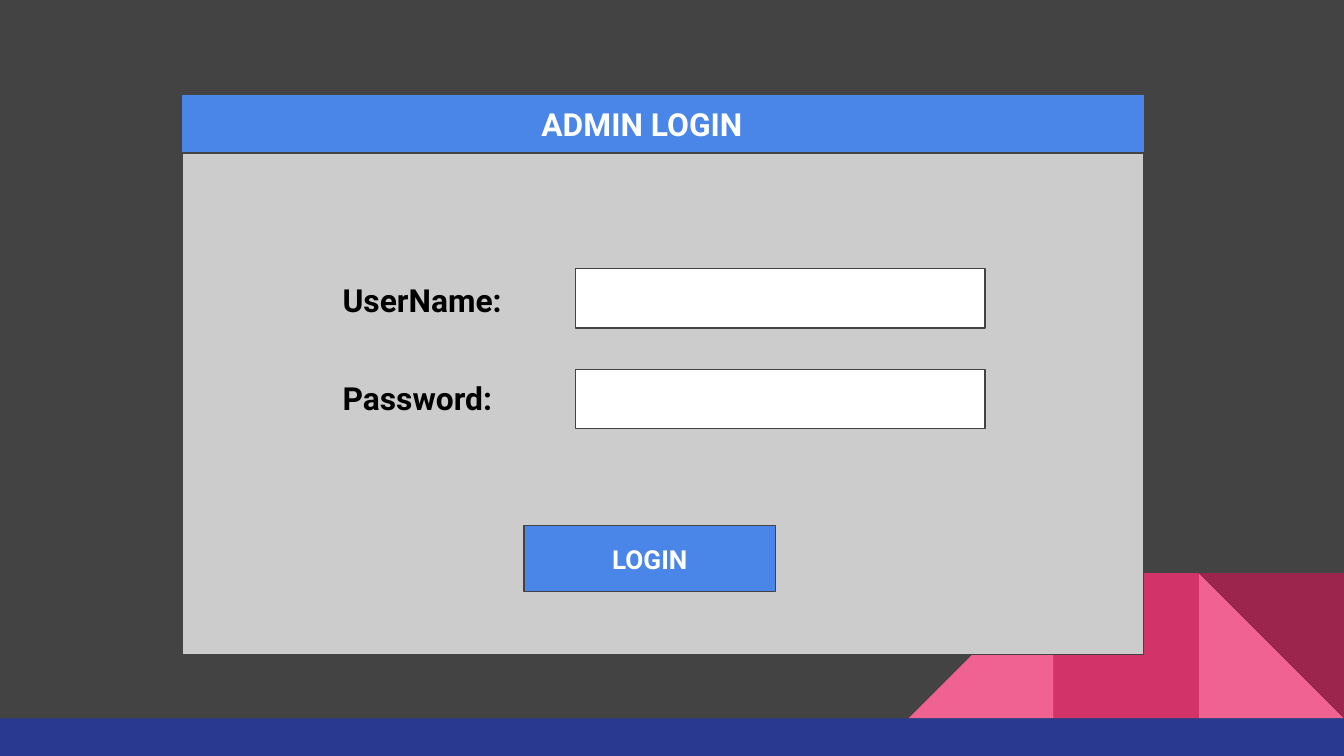
from pptx import Presentation
from pptx import util as u
from pptx.dml.color import RGBColor
from pptx.enum import shapes, text

DARK = RGBColor(0x43, 0x43, 0x43)
NAVY = RGBColor(0x2A, 0x39, 0x90)
PINK = RGBColor(0xF0, 0x62, 0x92)
ROSE = RGBColor(0xD2, 0x33, 0x69)
WINE = RGBColor(0x9C, 0x25, 0x4D)
GREY = RGBColor(0xCC, 0xCC, 0xCC)
BLUE = RGBColor(0x4A, 0x86, 0xE8)
WHITE = RGBColor(0xFF, 0xFF, 0xFF)
BLACK = RGBColor(0, 0, 0)
RECT = shapes.MSO_SHAPE.RECTANGLE
TRIANGLE = shapes.MSO_SHAPE.RIGHT_TRIANGLE
WIDTH = 10
HEIGHT = WIDTH * 9 / 16


def add_block(slide, kind, left, top, width, height, fill, line=None):
    """Add a filled preset shape, outlined only when a line colour is given."""
    sp = slide.shapes.add_shape(kind, *map(u.Inches, (left, top, width, height)))
    sp.shadow.inherit = False
    sp.fill.solid()
    sp.fill.fore_color.rgb = fill
    if line is None:
        sp.line.fill.background()
    else:
        sp.line.color.rgb = line
        sp.line.width = u.Pt(0.75)
    return sp


def add_label(slide, words, left, top, width, height, color,
              size=17, align=text.PP_ALIGN.LEFT):
    """Add a bold one-line text box."""
    sp = slide.shapes.add_textbox(*map(u.Inches, (left, top, width, height)))
    tf = sp.text_frame
    tf.word_wrap = True
    tf.auto_size = text.MSO_AUTO_SIZE.SHAPE_TO_FIT_TEXT
    tf.margin_left = tf.margin_right = u.Inches(0.1)
    tf.margin_top = tf.margin_bottom = u.Inches(0.1)
    p = tf.paragraphs[0]
    p.text = words
    p.alignment = align
    p.font.name = "Roboto"
    p.font.size = u.Pt(size)
    p.font.bold = True
    p.font.color.rgb = color


def add_backdrop(slide, left, top, width, height):
    """Draw the footer band and the folded ribbon standing on its right end."""
    band = 0.28
    side = 1.08
    floor = top + height - band
    right = left + width
    y = floor - side
    add_block(slide, TRIANGLE, right - side, y, side, side, PINK)
    slope = add_block(slide, TRIANGLE, right - 3 * side, y, side, side, PINK)
    slope.element.spPr.xfrm.set("flipH", "1")
    add_block(slide, RECT, right - 2 * side, y, side, side, ROSE)
    fold = add_block(slide, TRIANGLE, right - side, y, side, side, WINE)
    fold.rotation = 180
    add_block(slide, RECT, left, floor, width, band, NAVY)


def add_login_panel(slide, left, top, width, height):
    """Draw the login window with its title bar, fields and button."""
    add_block(slide, RECT, left, top, width, height, GREY, DARK)
    add_block(slide, RECT, left - 0.01, top, width + 0.02, 0.44, BLUE, DARK)
    add_label(slide, "ADMIN LOGIN", left + 2.57, top - 0.02, 2.77, 0.49, WHITE)
    for row, words in enumerate(("UserName:", "Password:")):
        add_label(slide, words, left + 1.09, top + 1.29 + row * 0.73,
                  1.45, 0.49, BLACK)
        add_block(slide, RECT, left + 2.92, top + 1.3 + row * 0.75,
                  3.05, 0.44, WHITE, DARK)
    x, y, w = left + 2.54, top + 3.21, 1.87
    add_block(slide, RECT, x, y, w, 0.49, BLUE, DARK)
    add_label(slide, "LOGIN", x, y + 0.03, w, 0.44, WHITE, 14,
              text.PP_ALIGN.CENTER)


def main():
    """Build the slide and save it."""
    prs = Presentation()
    prs.slide_width = u.Inches(WIDTH)
    prs.slide_height = u.Inches(HEIGHT)
    slide = prs.slides.add_slide(prs.slide_layouts[6])
    slide.background.fill.solid()
    slide.background.fill.fore_color.rgb = DARK
    add_backdrop(slide, 0, 0, WIDTH, HEIGHT)
    add_login_panel(slide, 1.36, 0.7, 7.15, 4.17)
    prs.save("out.pptx")


if __name__ == "__main__":
    main()
